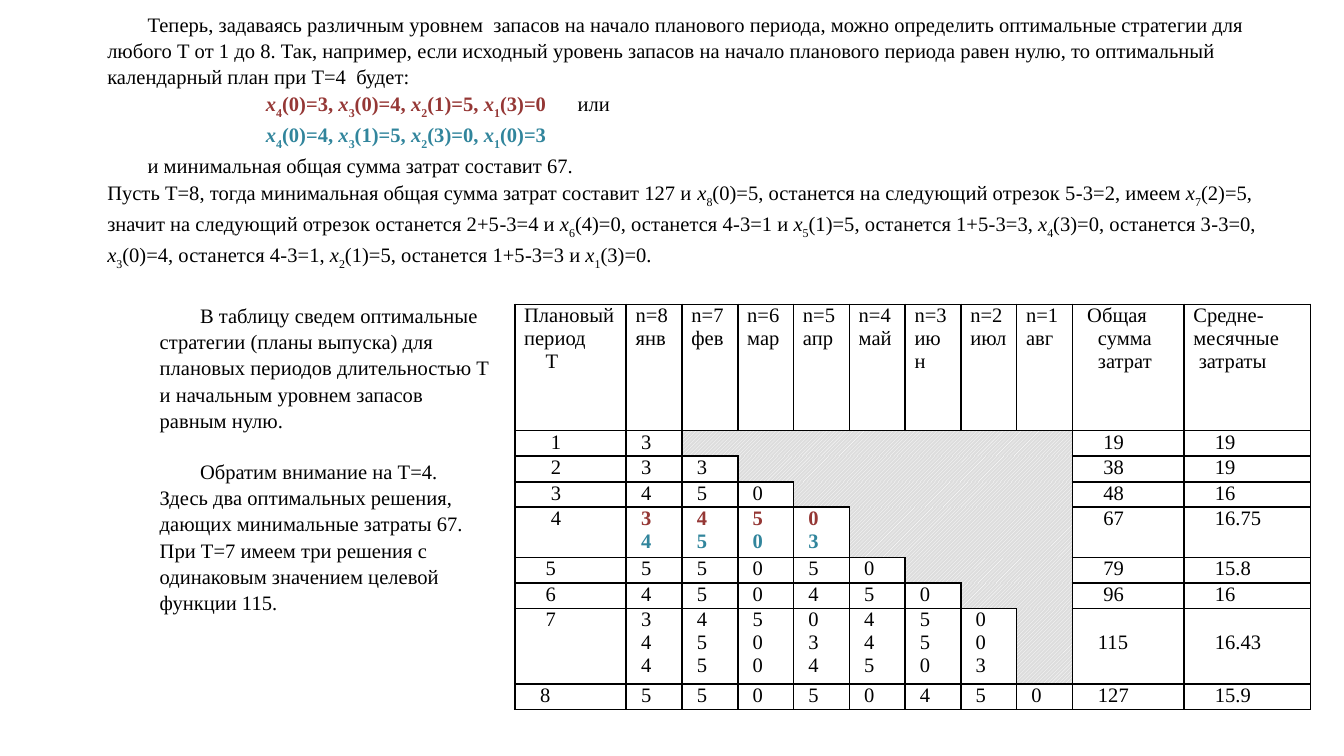
from dataclasses import dataclass
from itertools import groupby

from lxml import etree
from pptx import Presentation
from pptx import util as u
from pptx.dml.color import RGBColor
from pptx.enum import dml, text
from pptx.oxml import ns

PX = 4572  # EMU; 200 px to the inch


@dataclass(frozen=True)
class Theme:
    font: str = "Times New Roman"
    size: int = 11
    ink: str = "000000"
    first_plan: str = "953735"
    second_plan: str = "31859C"
    hatch_front: str = "FFFFFF"
    hatch_back: str = "DDDDDD"
    line_spacing: float = 1.07
    first_line: int = 60
    formula_indent: int = 236
    tab_stop: int = 690
    cell_margin: int = 14
    space: int = 8


THEME = Theme()
NO_GRID = "{2D5ABB26-0587-4C30-8999-92F81FD0307C}"
COLUMNS = [166] + [83] * 8 + [166, 188]
ROWS = [188, 38, 38, 38, 75, 38, 38, 112, 38]
MONTHS = ["янв", "фев", "мар", "апр", "май", "июн", "июл", "авг"]
PLANS = [
    # plans by month, total cost, monthly average
    (["3"], "19", "19"),
    (["33"], "38", "19"),
    (["450"], "48", "16"),
    (["3450", "4503"], "67", "16.75"),
    (["55050"], "79", "15.8"),
    (["450450"], "96", "16"),
    (["3450450", "4503450", "4504503"], "115", "16.43"),
    (["55050450"], "127", "15.9"),
]
INTRO = (
    "Теперь, задаваясь различным уровнем  запасов на начало планового периода, можно "
    "определить оптимальные стратегии для любого Т от 1 до 8. Так, например, если исходный "
    "уровень запасов на начало планового периода равен нулю, то оптимальный календарный "
    "план при Т=4  будет:"
)
FIRST_FORMULA = "x4(0)=3, x3(0)=4, x2(1)=5, x1(3)=0"
SECOND_FORMULA = "x4(0)=4, x3(1)=5, x2(3)=0, x1(0)=3"
MINIMUM = "и минимальная общая сумма затрат составит 67."
EIGHT_MONTHS = (
    "Пусть Т=8, тогда минимальная общая сумма затрат составит 127 и x8(0)=5, останется на "
    "следующий отрезок 5-3=2, имеем x7(2)=5, значит на следующий отрезок останется 2+5-3=4 "
    "и x6(4)=0, останется 4-3=1 и x5(1)=5, останется 1+5-3=3, x4(3)=0, останется 3-3=0, "
    "x3(0)=4, останется 4-3=1, x2(1)=5, останется 1+5-3=3 и x1(3)=0."
)
NOTES = [
    "В таблицу сведем оптимальные стратегии (планы выпуска) для плановых периодов "
    "длительностью Т и начальным уровнем запасов равным нулю.",
    "Обратим внимание на Т=4. Здесь два оптимальных решения, дающих минимальные затраты 67. "
    "При Т=7 имеем три решения с одинаковым значением целевой функции 115.",
]


def style(para, color=THEME.ink, bold=False):
    para.font.name, para.font.size = THEME.font, u.Pt(THEME.size)
    para.font.color.rgb = RGBColor.from_string(color)
    para.font.bold = bold


def next_para(frame, first):
    return frame.paragraphs[0] if first else frame.add_paragraph()


def add_math(para, words):
    """Set x and minus in italics and the digit after x as a subscript."""
    marked = [
        ("italic" if char in "x-" else "sub" if before == "x" else "plain", char)
        for before, char in zip(" " + words, words)
    ]
    for kind, group in groupby(marked, key=lambda pair: pair[0]):
        span = para.add_run()
        span.text = "".join(char for _, char in group)
        if kind == "italic":
            span.font.italic = True
        elif kind == "sub":
            span.font._element.set("baseline", "-30000")


def add_text_box(page, box, anchor):
    shape = page.shapes.add_textbox(*(u.Emu(side * PX) for side in box))
    shape.text_frame.word_wrap = True
    shape.text_frame.vertical_anchor = anchor
    return shape.text_frame


def body_para(frame, first, indent, color=THEME.ink, bold=False):
    para = next_para(frame, first)
    para.line_spacing = THEME.line_spacing
    para._p.get_or_add_pPr().set("indent", str(indent * PX))
    style(para, color, bold)
    return para


def add_tab_stop(para, position):
    tabs = etree.Element(ns.qn("a:tabLst"))
    etree.SubElement(tabs, ns.qn("a:tab"), pos=str(position * PX), algn="l")
    para._p.pPr.find(ns.qn("a:defRPr")).addprevious(tabs)


def add_explanation(page, box):
    frame = add_text_box(page, box, text.MSO_ANCHOR.MIDDLE)
    lines = [
        (INTRO, THEME.first_line, THEME.ink, False),
        (FIRST_FORMULA, THEME.formula_indent, THEME.first_plan, True),
        (SECOND_FORMULA, THEME.formula_indent, THEME.second_plan, True),
        (MINIMUM, THEME.first_line, THEME.ink, False),
        (EIGHT_MONTHS, 0, THEME.ink, False),
    ]
    for number, (words, *look) in enumerate(lines):
        para = body_para(frame, number == 0, *look)
        add_math(para, words)
        if words == FIRST_FORMULA:
            add_tab_stop(para, THEME.tab_stop)
            span = para.add_run()
            span.text = "\tили"
            span.font.bold = False
            span.font.color.rgb = RGBColor.from_string(THEME.ink)


def add_notes(page, box):
    frame = add_text_box(page, box, text.MSO_ANCHOR.TOP)
    for number, words in enumerate(NOTES):
        para = body_para(frame, number == 0, THEME.first_line)
        para.add_run().text = words
        if number:
            para.space_before = u.Pt(13)


def set_borders(cell, sides):
    """Draw the given sides (letters of LRTB) and clear the others."""
    for side in "LRTB":
        line = etree.SubElement(cell._tc.get_or_add_tcPr(), ns.qn(f"a:ln{side}"), w="12700")
        if side in sides:
            fill = etree.SubElement(line, ns.qn("a:solidFill"))
            etree.SubElement(fill, ns.qn("a:srgbClr"), val=THEME.ink)
        else:
            etree.SubElement(line, ns.qn("a:noFill"))


def fill_cell(cell, lines, indents, colors=None, top=0):
    """Write one paragraph a line; indents count spaces."""
    set_borders(cell, "LRTB")
    cell.fill.background()
    cell.margin_left = cell.margin_right = u.Emu(THEME.cell_margin * PX)
    cell.margin_top, cell.margin_bottom = u.Emu(top * PX), 0
    for number, (words, indent) in enumerate(zip(lines, indents)):
        para = next_para(cell.text_frame, number == 0)
        para.alignment = text.PP_ALIGN.JUSTIFY
        para._p.get_or_add_pPr().set("marL", str(indent * THEME.space * PX))
        style(para, colors[number] if colors else THEME.ink, bool(colors))
        para.add_run().text = words


def hatch_cells(table, row, first, last):
    sides = "LR" + "T" * (row == 1) + "B" * (first == last)
    for column in range(first, last + 1):
        cell = table.cell(row, column)
        set_borders(cell, sides)
        cell.margin_top = cell.margin_bottom = 0
        style(cell.text_frame.paragraphs[0])
        cell.fill.patterned()
        cell.fill.pattern = dml.MSO_PATTERN.LIGHT_UPWARD_DIAGONAL
        cell.fill.fore_color.rgb = RGBColor.from_string(THEME.hatch_front)
        cell.fill.back_color.rgb = RGBColor.from_string(THEME.hatch_back)
    if first < last:
        table.cell(row, first).merge(table.cell(row, last))


def add_plan_table(page, left, top):
    box = (left, top, sum(COLUMNS), sum(ROWS))
    table = page.shapes.add_table(
        len(ROWS), len(COLUMNS), *(u.Emu(side * PX) for side in box)
    ).table
    table._tbl.tblPr.find(ns.qn("a:tableStyleId")).text = NO_GRID
    table.first_row = table.horz_banding = False
    for column, width in zip(table.columns, COLUMNS):
        column.width = u.Emu(width * PX)
    for row, height in zip(table.rows, ROWS):
        row.height = u.Emu(height * PX)

    months = len(MONTHS)
    fill_cell(table.cell(0, 0), ["Плановый период", "Т"], [0, 4])
    for number, month in enumerate(MONTHS):
        fill_cell(table.cell(0, number + 1), [f"n={months - number}", month], [0, 0])
    fill_cell(table.cell(0, months + 1), ["Общая", "сумма", "затрат"], [1, 3, 3])
    fill_cell(table.cell(0, months + 2), ["Средне- месячные", "затраты"], [0, 1])

    for row, (plans, total, average) in enumerate(PLANS, 1):
        fill_cell(table.cell(row, 0), [str(row)], [5 if row < 5 else 4 if row < 8 else 3])
        colors = [THEME.first_plan, THEME.second_plan] if len(plans) == 2 else None
        for column, amounts in enumerate(zip(*plans), 1):
            fill_cell(table.cell(row, column), amounts, [1] * len(plans), colors)
        if row < months:
            hatch_cells(table, row, row + 1, months)
        offset = 34 if len(plans) == 3 else 0
        fill_cell(table.cell(row, months + 1), [total], [6 - len(total) if len(total) > 2 else 4], top=offset)
        fill_cell(table.cell(row, months + 2), [average], [4], top=offset)


def main():
    deck = Presentation()
    deck.slide_width, deck.slide_height = u.Emu(2000 * PX), u.Emu(1125 * PX)
    page = deck.slides.add_slide(deck.slide_layouts[6])
    add_plan_table(page, 766, 453)
    add_explanation(page, (140, 32, 1812, 354))
    add_notes(page, (218, 438, 532, 428))
    deck.save("out.pptx")


if __name__ == "__main__":
    main()
